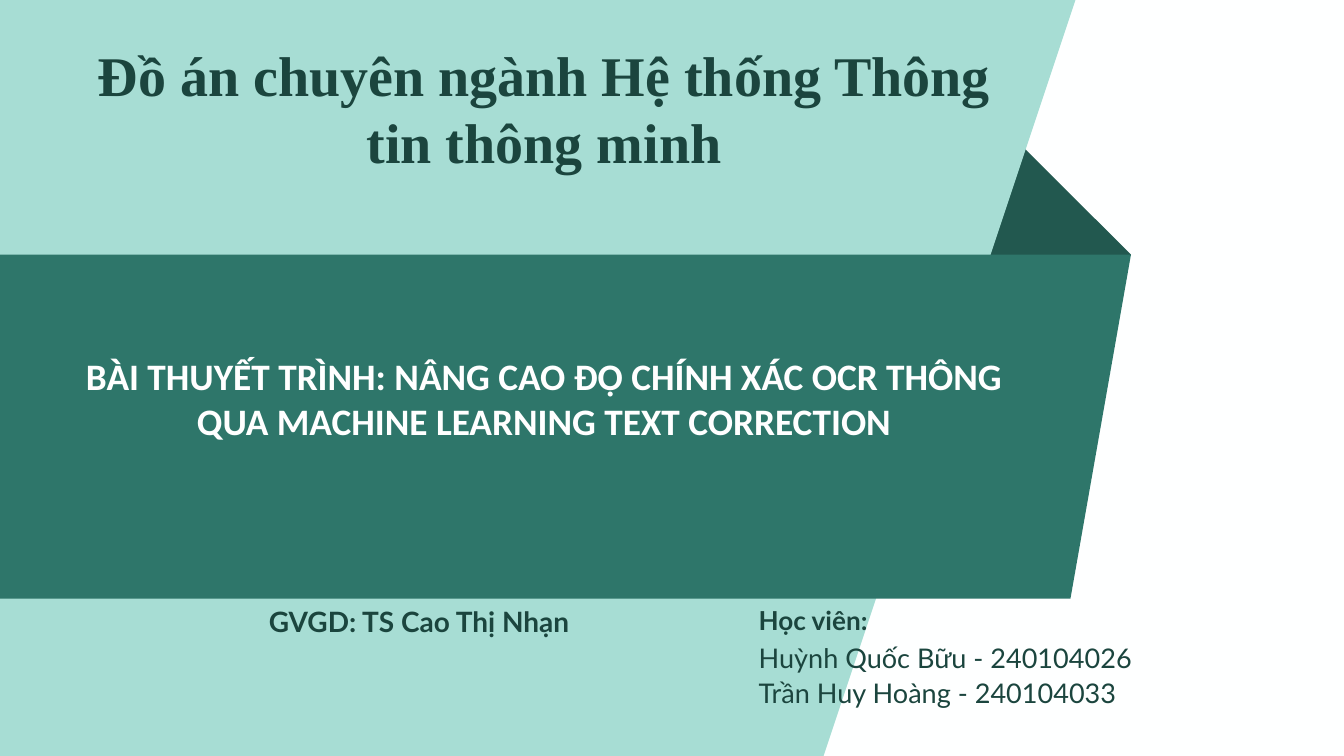
from pptx import Presentation
from pptx.dml.color import RGBColor
from pptx.enum.text import MSO_ANCHOR, MSO_AUTO_SIZE, PP_ALIGN
from pptx.util import Inches, Pt

WIDTH, HEIGHT = Inches(20), Inches(11.25)

PAPER = RGBColor(0xFE, 0xFF, 0xFF)
WHITE = RGBColor(0xFF, 0xFF, 0xFF)
MINT = RGBColor(0xA7, 0xDD, 0xD4)
GREEN = RGBColor(0x2E, 0x76, 0x6A)
FOLD_GREEN = RGBColor(0x22, 0x58, 0x4F)
INK = RGBColor(0x1B, 0x45, 0x3E)

# All positions are percentages of the slide's width and height.
BANNER_TOP, BANNER_BOTTOM, BANNER_RIGHT = 33.69, 79.2, 84.15
CREDITS_TOP = 79.64
STUDENTS_LEFT, STUDENTS_WIDTH = 56.45, 33.4


def across(share):
    return round(WIDTH * share / 100)


def down(share):
    return round(HEIGHT * share / 100)


def add_polygon(s, points, color):
    points = [(across(x), down(y)) for x, y in points]
    builder = s.shapes.build_freeform(*points[0])
    builder.add_line_segments(points[1:], close=True)
    sp = builder.convert_to_shape()
    sp.shadow.inherit = False
    sp.fill.solid()
    sp.fill.fore_color.rgb = color
    sp.line.fill.background()


def add_slanted_band(s, left, right, top, bottom, slant, color):
    """Parallelogram whose bottom edge is moved sideways by slant."""
    add_polygon(s, [(left, top), (right, top),
                    (right + slant, bottom), (left + slant, bottom)], color)


def add_fold(s):
    """Right arrow with its tip on the banner's corner; the bands cover part."""
    tip, neck, tail = BANNER_RIGHT, BANNER_RIGHT - 9.5, BANNER_RIGHT - 19
    mid, step = BANNER_TOP, 8.44
    add_polygon(s, [(tip, mid), (neck, mid - 2 * step), (neck, mid - step),
                    (tail, mid - step), (tail, mid + step),
                    (neck, mid + step), (neck, mid + 2 * step)], FOLD_GREEN)


def fill_text(sp, box, text, font, size, color=INK, bold=True,
              align=PP_ALIGN.LEFT, spacing=None):
    left, top, width, height = box
    sp.left, sp.top = across(left), down(top)
    sp.width, sp.height = across(width), down(height)
    tf = sp.text_frame
    tf.text = text
    tf.word_wrap = True
    tf.auto_size = MSO_AUTO_SIZE.NONE
    tf.vertical_anchor = MSO_ANCHOR.TOP
    tf.margin_left = tf.margin_top = tf.margin_right = tf.margin_bottom = 0
    for p in tf.paragraphs:
        p.alignment = align
        p.space_before = Pt(0)
        if spacing:
            p.line_spacing = Pt(spacing)
        for r in p.runs:
            r.font.name, r.font.size, r.font.bold = font, Pt(size), bold
            r.font.color.rgb = color


def add_credit(s, box, text, size, bold=True):
    sp = s.shapes.add_textbox(0, 0, 0, 0)
    fill_text(sp, box, text, "Lato", size, bold=bold, spacing=size * 1.3)


def bring_to_front(s, sp):
    s.shapes._spTree.append(sp._element)


def main():
    prs = Presentation()
    prs.slide_width, prs.slide_height = WIDTH, HEIGHT
    s = prs.slides.add_slide(prs.slide_layouts[0])
    s.background.fill.solid()
    s.background.fill.fore_color.rgb = PAPER
    title, subtitle = s.placeholders

    add_fold(s)
    add_slanted_band(s, -19.2, 82.05, -10.84, 127.2, -25.87, MINT)
    add_slanted_band(s, -2.7, BANNER_RIGHT, BANNER_TOP, BANNER_BOTTOM, -4.5, GREEN)

    fill_text(subtitle, (5, 46.76, 70.95, 17.96),
              "BÀI THUYẾT TRÌNH: NÂNG CAO ĐỘ CHÍNH XÁC OCR THÔNG QUA "
              "MACHINE LEARNING TEXT CORRECTION",
              "Calibri", 40, WHITE, align=PP_ALIGN.CENTER)
    bring_to_front(s, subtitle)

    add_credit(s, (STUDENTS_LEFT, 84.44, STUDENTS_WIDTH, 9.16),
               "Huỳnh Quốc Bữu - 240104026\nTrần Huy Hoàng - 240104033", 29, bold=False)
    add_credit(s, (STUDENTS_LEFT, CREDITS_TOP, STUDENTS_WIDTH, 4.27), "Học viên:", 28)
    add_credit(s, (20, CREDITS_TOP, 34, 4.53), "GVGD: TS Cao Thị Nhạn", 30)

    fill_text(title, (4.4, 5.33, 72.15, 17.96),
              "Đồ án chuyên ngành Hệ thống Thông tin thông minh",
              "Times New Roman", 60, align=PP_ALIGN.CENTER, spacing=72)
    bring_to_front(s, title)

    prs.save("out.pptx")


if __name__ == "__main__":
    main()
